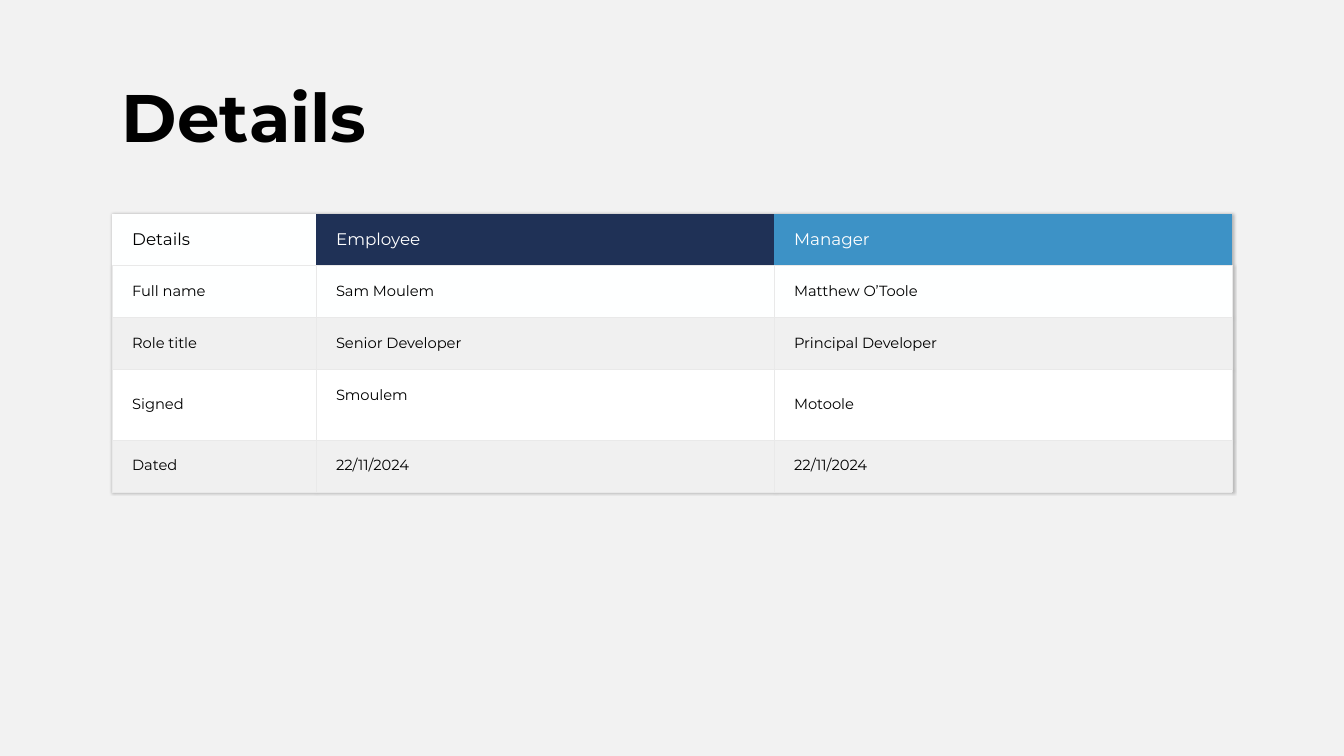
from dataclasses import dataclass

import lxml.etree
import pptx
import pptx.dml.color
import pptx.enum.text
import pptx.oxml
import pptx.oxml.ns
import pptx.presentation
import pptx.slide
import pptx.table
import pptx.text.text
import pptx.util

RGBColor = pptx.dml.color.RGBColor
BLACK = RGBColor(0x00, 0x00, 0x00)
WHITE = RGBColor(0xFF, 0xFF, 0xFF)
OFF_WHITE = RGBColor(0xFE, 0xFF, 0xFF)
BACKGROUND = RGBColor(0xF2, 0xF2, 0xF2)
BAND = RGBColor(0xF0, 0xF0, 0xF0)
BORDER = RGBColor(0xE9, 0xE9, 0xE9)
NAVY = RGBColor(0x1F, 0x31, 0x56)
BLUE = RGBColor(0x3D, 0x92, 0xC6)

FONT = "Montserrat"
SLIDE_WIDTH = pptx.util.Inches(13.33)
SLIDE_HEIGHT = pptx.util.Inches(7.5)
COLUMN = SLIDE_WIDTH / 12
ROW = SLIDE_HEIGHT / 100
COLUMN_SPANS = (1.82, 4.09, 4.09)
TABLE_TOP = 28.25
ROW_SPAN = 6.86
SIGNATURE_ROW_SPAN = 9.36
CELL_INDENT = pptx.util.Inches(0.2)
SIGNATURE_LIFT = pptx.util.Inches(0.18)
NO_STYLE = "{2D5ABB26-0587-4C30-8999-92F81FD0307C}"


@dataclass(frozen=True)
class TableCell:
    text: str
    fill: RGBColor
    color: RGBColor = BLACK
    bottom_margin: int = 0


@dataclass(frozen=True)
class TableRow:
    cells: tuple[TableCell, ...]
    size: float = 10.5
    span: float = ROW_SPAN
    border_sides: str = "LRTB"


def body_cells(fill: RGBColor, *texts: str) -> tuple[TableCell, ...]:
    return tuple(TableCell(text, fill) for text in texts)


ROWS = (
    TableRow(
        (TableCell("Details", OFF_WHITE), TableCell("Employee", NAVY, WHITE), TableCell("Manager", BLUE, WHITE)),
        size=12,
        border_sides="B",
    ),
    TableRow(body_cells(OFF_WHITE, "Full name", "Sam Moulem", "Matthew O’Toole")),
    TableRow(body_cells(BAND, "Role title", "Senior Developer", "Principal Developer")),
    TableRow(
        (
            TableCell("Signed", WHITE),
            TableCell("Smoulem", WHITE, bottom_margin=SIGNATURE_LIFT),
            TableCell("Motoole", WHITE),
        ),
        span=SIGNATURE_ROW_SPAN,
    ),
    TableRow(body_cells(BAND, "Dated", "22/11/2024", "22/11/2024")),
)


def format_text(
    paragraph: pptx.text.text._Paragraph, size: float, color: RGBColor, bold: bool = False
) -> None:
    for run in paragraph.runs:
        run.font.name = FONT
        run.font.size = pptx.util.Pt(size)
        run.font.color.rgb = color
        run.font.bold = bold


def add_borders(cell: pptx.table._Cell, sides: str) -> None:
    properties = cell._tc.get_or_add_tcPr()
    for position, side in enumerate(sides):
        line = pptx.oxml.parse_xml(
            f'<a:ln{side} {pptx.oxml.ns.nsdecls("a")} w="{pptx.util.Pt(0.25)}">'
            f'<a:solidFill><a:srgbClr val="{BORDER}"/></a:solidFill></a:ln{side}>'
        )
        properties.insert(position, line)


def add_table_shadow(table: pptx.table.Table) -> None:
    effects = pptx.oxml.parse_xml(
        f'<a:effectLst {pptx.oxml.ns.nsdecls("a")}>'
        '<a:outerShdw blurRad="25400" dist="12700" dir="2700000" algn="tl">'
        '<a:srgbClr val="000000"><a:alpha val="25000"/></a:srgbClr>'
        "</a:outerShdw></a:effectLst>"
    )
    table._tbl.tblPr.insert(0, effects)


def fill_cell(cell: pptx.table._Cell, content: TableCell, row: TableRow) -> None:
    cell.text_frame.text = content.text
    format_text(cell.text_frame.paragraphs[0], row.size, content.color)
    cell.vertical_anchor = pptx.enum.text.MSO_ANCHOR.MIDDLE
    cell.margin_left = CELL_INDENT
    cell.margin_top = cell.margin_right = 0
    cell.margin_bottom = content.bottom_margin
    cell.fill.solid()
    cell.fill.fore_color.rgb = content.fill
    add_borders(cell, row.border_sides)


def add_details_table(slide: pptx.slide.Slide) -> None:
    height = round(sum(row.span for row in ROWS) * ROW)
    width = round(sum(COLUMN_SPANS) * COLUMN)
    shape = slide.shapes.add_table(
        len(ROWS), len(COLUMN_SPANS), round(COLUMN), round(TABLE_TOP * ROW), width, height
    )
    table = shape.table
    table.first_row = False
    table.horz_banding = False
    table._tbl.tblPr.find(pptx.oxml.ns.qn("a:tableStyleId")).text = NO_STYLE
    add_table_shadow(table)
    for column, span in zip(table.columns, COLUMN_SPANS):
        column.width = round(span * COLUMN)
    for table_row, row in zip(table.rows, ROWS):
        table_row.height = round(row.span * ROW)
        for cell, content in zip(table_row.cells, row.cells):
            fill_cell(cell, content, row)


def add_title(slide: pptx.slide.Slide) -> None:
    shape = slide.shapes.add_textbox(
        round(COLUMN), round(10.5 * ROW), round(5 * COLUMN), round(18.25 * ROW)
    )
    shape.text_frame.word_wrap = True
    shape.text_frame.text = "Details"
    paragraph = shape.text_frame.paragraphs[0]
    paragraph.line_spacing = 0.9
    format_text(paragraph, 48, BLACK, bold=True)


def main() -> None:
    presentation = pptx.Presentation()
    presentation.slide_width = SLIDE_WIDTH
    presentation.slide_height = SLIDE_HEIGHT
    slide = presentation.slides.add_slide(presentation.slide_layouts[6])
    slide.background.fill.solid()
    slide.background.fill.fore_color.rgb = BACKGROUND
    add_details_table(slide)
    add_title(slide)
    presentation.save("out.pptx")


if __name__ == "__main__":
    main()
